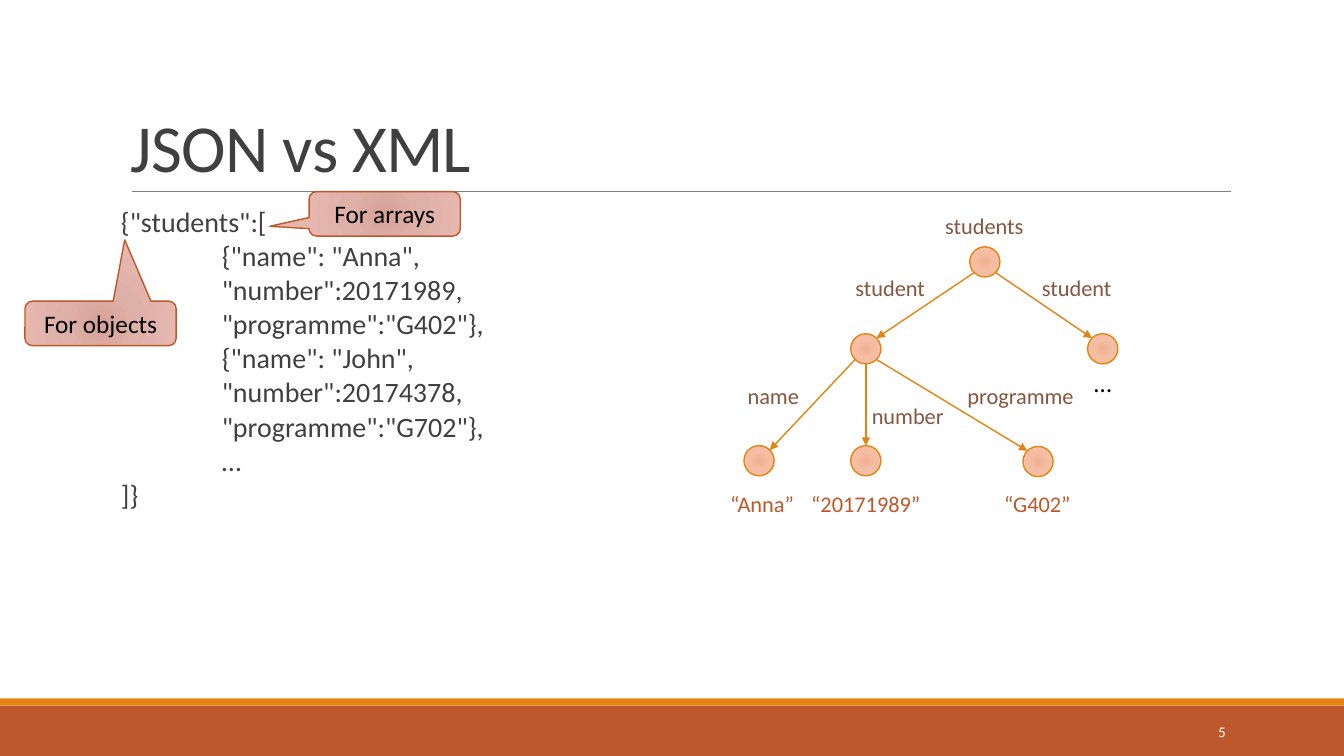
from typing import NamedTuple

from lxml.etree import SubElement
from pptx import Presentation
from pptx.dml.color import RGBColor
from pptx.enum.shapes import MSO_CONNECTOR, MSO_SHAPE
from pptx.enum.text import MSO_ANCHOR, PP_ALIGN
from pptx.oxml import parse_xml
from pptx.oxml.ns import nsdecls, qn
from pptx.util import Cm, Pt

FONT = "Calibri"
COLORS = {
    "rust": "BD582C", "orange": "E48312", "rule": "808080", "heading": "404040",
    "edge_label": "865640", "black": "000000", "white": "FFFFFF",
}
NODE_GLOW = ("F0B191", "F5BEA4", "FDC3A8")
CALLOUT_GLOW = ("D7A197", "DEB1A8", "E6B7AE")
NODE_SIZE = 0.76
NODE_RADIUS = NODE_SIZE / 2
NODE_DIAGONAL = 0.27  # offset of a point at 45 degrees on a node's rim
LABEL_HEIGHT = 0.94


class Node(NamedTuple):
    x: float
    y: float


class Label(NamedTuple):
    text: str
    left: float
    top: float
    width: float


class Callout(NamedTuple):
    text: str
    left: float
    top: float
    tip: tuple[float, float]


def rgb(name: str) -> RGBColor:
    return RGBColor.from_string(COLORS[name])


def write(frame, text: str, *, size: float, color: str, align=PP_ALIGN.LEFT,
          anchor=MSO_ANCHOR.TOP, wrap: bool = True, line_spacing=None,
          before: float = 0, after: float = 0, tracking: int = 0) -> None:
    """Fill a text frame; a line that starts with a tab is indented."""
    frame.word_wrap = wrap
    frame.vertical_anchor = anchor
    for index, line in enumerate(text.split("\n")):
        paragraph = frame.add_paragraph() if index else frame.paragraphs[0]
        if line.startswith("\t"):
            paragraph._p.get_or_add_pPr().set("marL", str(Cm(2.54)))
        paragraph.alignment = align
        paragraph.line_spacing = line_spacing
        paragraph.space_before = Pt(before if index else 0)
        paragraph.space_after = Pt(after)
        run = paragraph.add_run()
        run.text = line.strip()
        run.font.name, run.font.size = FONT, Pt(size)
        run.font.color.rgb = rgb(color)
        if tracking:
            run._r.get_or_add_rPr().set("spc", str(tracking))


def add_text(slide, text: str, left: float, top: float, width: float,
             height: float, **text_format):
    box = slide.shapes.add_textbox(Cm(left), Cm(top), Cm(width), Cm(height))
    write(box.text_frame, text, **text_format)
    return box.text_frame


def add_label(slide, label: Label, **text_format) -> None:
    add_text(slide, label.text, label.left, label.top, label.width, LABEL_HEIGHT,
             wrap=False, **text_format)


def add_bar(slide, top: float, height: float, color: str) -> None:
    bar = slide.shapes.add_shape(MSO_SHAPE.RECTANGLE, 0, Cm(top), Cm(33.87), Cm(height))
    bar.shadow.inherit = False
    bar.fill.solid()
    bar.fill.fore_color.rgb = rgb(color)
    bar.line.fill.background()


def add_glowing(slide, kind, left: float, top: float, width: float, height: float,
                glow: tuple[str, ...], outline: str):
    """Add a preset shape with a circular three-stop gradient."""
    shape = slide.shapes.add_shape(kind, Cm(left), Cm(top), Cm(width), Cm(height))
    shape.shadow.inherit = False
    shape.line.color.rgb, shape.line.width = rgb(outline), Pt(1)
    stops = "".join(f'<a:gs pos="{pos}"><a:srgbClr val="{tone}"/></a:gs>'
                    for pos, tone in zip((0, 45000, 100000), glow))
    gradient = parse_xml(
        f'<a:gradFill {nsdecls("a")} rotWithShape="1"><a:gsLst>{stops}</a:gsLst>'
        '<a:path path="circle"><a:fillToRect l="100000" t="100000" r="100000" '
        'b="100000"/></a:path></a:gradFill>')
    shape._element.spPr.insert(2, gradient)
    return shape


def add_line(slide, start: tuple[float, float], end: tuple[float, float],
             color: str, width: float, arrow: bool = False) -> None:
    line = slide.shapes.add_connector(
        MSO_CONNECTOR.STRAIGHT, *(Cm(value) for value in (*start, *end)))
    line.line.color.rgb, line.line.width = rgb(color), Pt(width)
    if arrow:
        SubElement(line.line._get_or_add_ln(), qn("a:tailEnd"), type="triangle")
    SubElement(line._element.spPr, qn("a:effectLst"))


def add_edge(slide, parent: Node, child: Node) -> None:
    """Join the facing rims of two nodes."""
    side = (child.x > parent.x) - (child.x < parent.x)
    dx = side * NODE_DIAGONAL
    dy = NODE_DIAGONAL if side else NODE_RADIUS
    add_line(slide, (parent.x + dx, parent.y + dy), (child.x - dx, child.y - dy),
             "orange", 1, arrow=True)


JSON_TEXT = """{"students":[
\t{"name": "Anna",
\t"number":20171989,
\t"programme":"G402"},
\t{"name": "John",
\t"number":20174378,
\t"programme":"G702"},
\t…
]}"""

# Tree: nodes by centre, and parent-child pairs
NODES = {
    "students": Node(24.82, 6.6),
    "first": Node(21.82, 8.79),
    "second": Node(27.79, 8.79),
    "name": Node(19.13, 11.61),
    "number": Node(21.82, 11.61),
    "programme": Node(26.16, 11.63),
}
EDGES = [("students", "first"), ("students", "second"), ("first", "name"),
         ("first", "number"), ("first", "programme")]
ELEMENT_LABELS = [
    Label("students", 23.57, 5.21, 2.51),
    Label("student", 21.31, 6.78, 2.29),
    Label("student", 26.01, 6.78, 2.29),
    Label("name", 18.59, 9.5, 1.83),
    Label("number", 21.72, 10.01, 2.34),
    Label("programme", 24.13, 9.5, 3.23),
]
VALUE_LABELS = [
    Label("“Anna”", 18.14, 12.22, 2.13),
    Label("“20171989”", 20.17, 12.22, 3.3),
    Label("“G402”", 25.04, 12.22, 2.21),
]
MORE_STUDENTS = Label("…", 27.31, 9.14, 0.97)
CALLOUTS = [
    Callout("For objects", 0.63, 7.59, (0.16, -1.88)),
    Callout("For arrays", 7.79, 4.83, (-0.76, 0.28)),
]


def main() -> None:
    deck = Presentation()
    deck.slide_width, deck.slide_height = Cm(33.87), Cm(19.05)
    slide = deck.slides.add_slide(deck.slide_layouts[6])

    # Footer bars and title rule
    add_bar(slide, 17.78, 1.27, "rust")
    add_bar(slide, 17.6, 0.18, "orange")
    add_line(slide, (3.33, 4.83), (31.01, 4.83), "rule", 0.5)

    # Title, JSON text and slide number
    add_text(slide, "JSON vs XML", 3.05, 0.79, 27.94, 4.04, size=48, color="heading",
             anchor=MSO_ANCHOR.BOTTOM, line_spacing=0.85, tracking=-50)
    json_frame = add_text(slide, JSON_TEXT, 3.05, 5.13, 27.94, 11.18, size=20,
                          color="heading", line_spacing=0.9, before=0.7, after=2)
    json_frame.margin_left = json_frame.margin_right = 0
    add_text(slide, "5", 27.51, 17.93, 3.63, 1.02, size=10.5, color="white",
             align=PP_ALIGN.RIGHT, anchor=MSO_ANCHOR.MIDDLE)

    # XML tree
    for node in NODES.values():
        add_glowing(slide, MSO_SHAPE.OVAL, node.x - NODE_RADIUS, node.y - NODE_RADIUS,
                    NODE_SIZE, NODE_SIZE, NODE_GLOW, "orange")
    for parent, child in EDGES:
        add_edge(slide, NODES[parent], NODES[child])
    for label in ELEMENT_LABELS:
        add_label(slide, label, size=16, color="edge_label")
    for label in VALUE_LABELS:
        add_label(slide, label, size=16, color="rust", align=PP_ALIGN.CENTER)
    add_label(slide, MORE_STUDENTS, size=18, color="black", align=PP_ALIGN.CENTER)

    # Callouts on the JSON brackets
    for callout in CALLOUTS:
        bubble = add_glowing(slide, MSO_SHAPE.ROUNDED_RECTANGULAR_CALLOUT, callout.left,
                             callout.top, 3.81, 1.12, CALLOUT_GLOW, "rust")
        bubble.adjustments[0], bubble.adjustments[1] = callout.tip
        write(bubble.text_frame, callout.text, size=18, color="black",
              align=PP_ALIGN.CENTER, anchor=MSO_ANCHOR.MIDDLE)

    deck.save("out.pptx")


if __name__ == "__main__":
    main()
